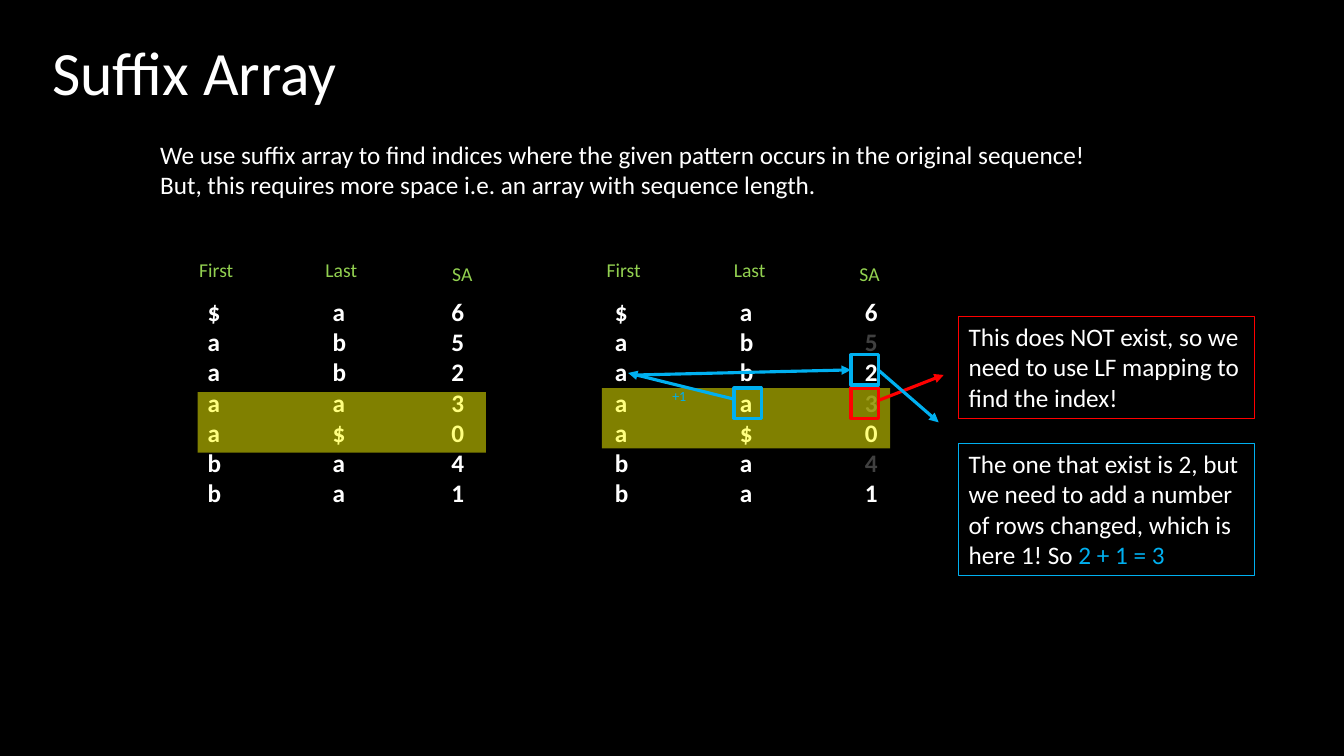
"""Build the Suffix Array slide on a grid of tenth-of-an-inch cells."""
from lxml import etree
from pptx import Presentation
from pptx import util as u
from pptx.dml.color import RGBColor
from pptx.enum import shapes, text
from pptx.oxml.ns import qn

T = dict(font="Calibri", bg="000000", ink="FFFFFF", faded="404040", head="92D050",
         mark="FFFF00", red="FF0000", blue="00B0F0",
         title=44, body=18, label=14, note=10, thick=2.25, thin=0.75)
CELL = u.Inches(0.1)
ROW = 3

prs = Presentation()
prs.slide_width, prs.slide_height = u.Inches(13.33), u.Inches(7.5)
s = prs.slides.add_slide(prs.slide_layouts[6])
s.background.fill.solid()
s.background.fill.fore_color.rgb = RGBColor.from_string(T["bg"])


def grid(*cells):
    return [round(c * CELL) for c in cells]


def put(at, paras=(), size=T["body"], color=T["ink"], bold=False, align=None,
        anchor=text.MSO_ANCHOR.TOP, spacing=None, fill=None, line=None, width=T["thin"]):
    """Place a box; each paragraph is a list of (words, colour or None) runs."""
    if fill or line:
        sp = s.shapes.add_shape(shapes.MSO_SHAPE.RECTANGLE, *grid(*at))
        sp.shadow.inherit = False
        sp.fill.background()
        sp.line.fill.background()
    else:
        sp = s.shapes.add_textbox(*grid(*at))
    if fill:
        sp.fill.solid()
        sp.fill.fore_color.rgb = RGBColor.from_string(fill)
        clr = sp.fill._xPr.find(qn("a:solidFill"))[0]
        etree.SubElement(clr, qn("a:alpha"), val="50000")
    if line:
        sp.line.color.rgb = RGBColor.from_string(line)
        sp.line.width = u.Pt(width)
    tf = sp.text_frame
    tf.word_wrap = at[2] > 10
    tf.vertical_anchor = anchor
    for i, runs in enumerate(paras):
        p = tf.add_paragraph() if i else tf.paragraphs[0]
        p.alignment = align or text.PP_ALIGN.LEFT
        p.line_spacing = spacing
        for words, tint in runs:
            r = p.add_run()
            r.text = words
            r.font.name, r.font.size, r.font.bold = T["font"], u.Pt(size), bold
            r.font.color.rgb = RGBColor.from_string(tint or color)


put((4.2, 0.2, 115, 14.5), [[("Suffix Array", None)]], size=T["title"],
    anchor=text.MSO_ANCHOR.MIDDLE, spacing=0.9)

columns = [("First", "$aaaabb"), ("Last", "abba$aa"), ("SA", "6523041")]
tables = [
    dict(heads=(12.5, 24.9, 36.9), letters=(19.6, 32, 43.8), faded=""),
    dict(heads=(52.9, 65.4, 77.3), letters=(60, 72.4, 84.8), faded="534"),
]
for table in tables:
    for (head, letters), hx, lx in zip(columns, table["heads"], table["letters"]):
        sa = head == "SA"
        put((lx, 28.9, 4.3 if sa else 3.8, 22.2),
            [[(c, T["faded"] if c in table["faded"] else None)] for c in letters], bold=True)
        put((hx, 25.5 if sa else 25.1, 17.9, 3.4), [[(head, None)]], size=T["label"],
            color=T["head"], align=text.PP_ALIGN.CENTER)

put((14.9, 13.3, 99.5, 7.1), [
    [("We use suffix array to find indices where the given pattern occurs in the original sequence!", None)],
    [("But, this requires more space i.e. an array with sequence length.", None)]])

for x, y in [(19.6, 38.9), (59.7, 38.5)]:
    put((x, y, 28.6, 2 * ROW), fill=T["mark"])

for x, y, color in [(84.4, 38.5, T["red"]), (72.8, 38.5, T["blue"]), (84.4, 35.2, T["blue"])]:
    put((x, y, 2.7, ROW), line=color, width=T["thick"])

arrows = [
    ((87.2, 39.7, 93.6, 37.2), T["red"]),
    ((72.8, 39.6, 62.3, 37), T["blue"]),
    ((63.3, 37.2, 84.4, 36.7), T["blue"]),
    ((87.1, 36.7, 93.1, 41.9), T["blue"]),
]
for ends, color in arrows:
    cx = s.shapes.add_connector(shapes.MSO_CONNECTOR.STRAIGHT, *grid(*ends))
    cx.line.color.rgb = RGBColor.from_string(color)
    cx.line.width = u.Pt(T["thick"])
    etree.SubElement(cx.line._get_or_add_ln(), qn("a:tailEnd"), type="triangle")
    etree.SubElement(cx._element.spPr, qn("a:effectLst"))

put((65.7, 37.9, 3.6, 2.9), [[("+1", None)]], size=T["note"], color=T["blue"])

callouts = [
    (31.4, 10.1, T["red"],
     [("This does NOT exist, so we need to use LF mapping to find the index!", None)]),
    (44, 13.1, T["blue"],
     [("The one that exist is 2, but we need to add a number of rows changed, which is here 1! So ", None),
      ("2 + 1 = 3", T["blue"])]),
]
for y, h, color, runs in callouts:
    put((95.1, y, 29.3, h), [runs], line=color)

prs.save("out.pptx")
